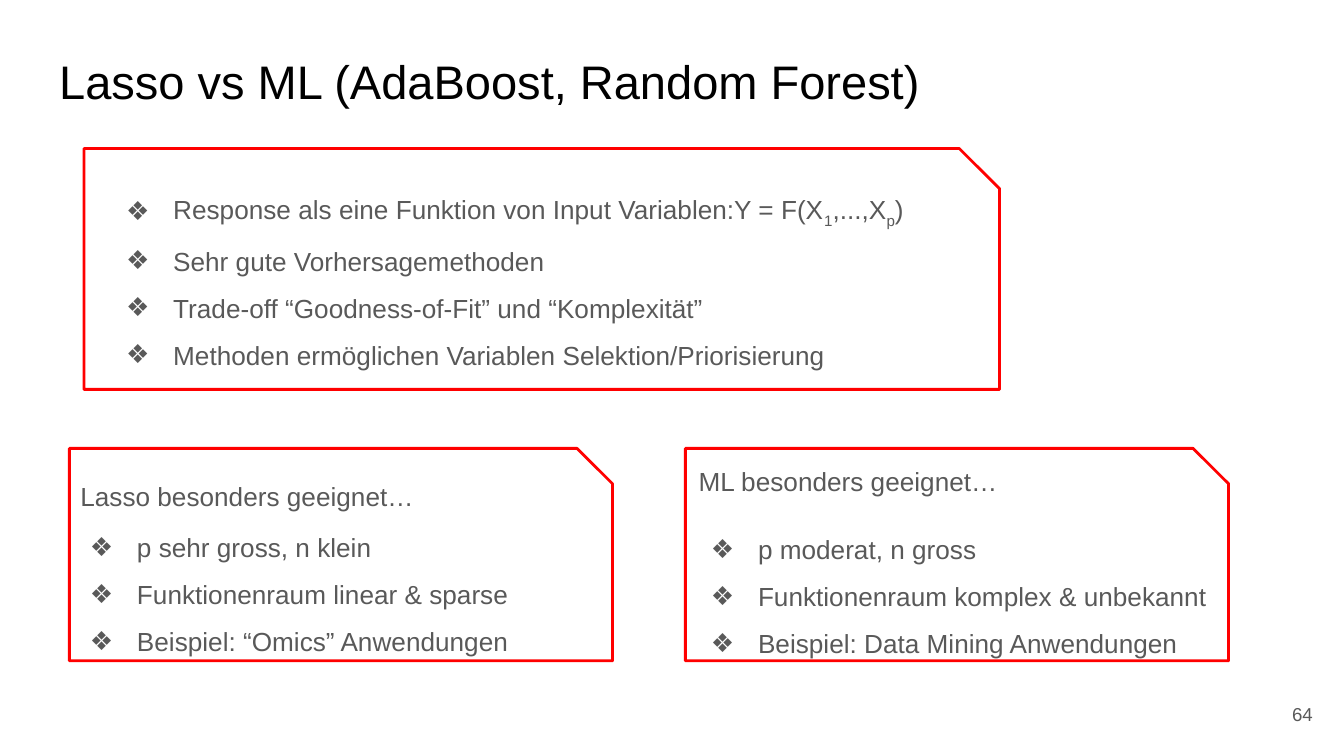
"""Build a slide that compares Lasso with ML methods."""
from lxml.etree import SubElement as Sub
from pptx import Presentation
from pptx.dml.color import RGBColor as Rgb
from pptx.enum.shapes import MSO_SHAPE as Shape
from pptx.enum.text import MSO_ANCHOR as Anchor, MSO_AUTO_SIZE as Fit, PP_ALIGN as Align
from pptx.oxml.ns import qn
from pptx.util import Pt

HUES = {"ink": "000000", "text": "595959", "edge": "FF0000"}


class Deck:
    font = "Arial"
    size = 14
    pad = 7.2
    hang = 25.2
    step = 36

    def __init__(self, wide, high):
        self.show = Presentation()
        self.show.slide_width, self.show.slide_height = Pt(wide), Pt(high)
        self.slide = self.show.slides.add_slide(self.show.slide_layouts[3])

    def place(self, item, box):
        item.left, item.top, item.width, item.height = map(Pt, box)

    def frame(self, item, anchor=Anchor.TOP):
        body = item.text_frame
        body.word_wrap = True
        body.auto_size = Fit.NONE
        body.vertical_anchor = anchor
        body.margin_left = body.margin_right = Pt(self.pad)
        body.margin_top = body.margin_bottom = Pt(self.pad)
        return body

    def style(self, para, size, hue, gap=1.0, align=Align.LEFT):
        para.alignment = align
        para.line_spacing = gap
        para.space_before = para.space_after = Pt(0)
        for run in para.runs:
            run.font.name = self.font
            run.font.size = Pt(size)
            run.font.color.rgb = Rgb.from_string(HUES[hue])

    def title(self, text, box):
        item = self.slide.shapes.title
        self.place(item, box)
        body = self.frame(item)
        body.text = text
        self.style(body.paragraphs[0], 25.2, "ink")

    def text_box(self, box):
        return self.slide.shapes.add_textbox(*map(Pt, box))

    def label(self, text, box, size=size, gap=1.0, align=Align.LEFT, anchor=Anchor.TOP):
        body = self.frame(self.text_box(box), anchor)
        body.text = text
        self.style(body.paragraphs[0], size, "text", gap, align)

    def bullet(self, para):
        props = para._p.get_or_add_pPr()
        props.set("marL", str(Pt(self.step)))
        props.set("indent", str(-Pt(self.hang)))
        tint = Sub(props, qn("a:buClr"))
        Sub(tint, qn("a:srgbClr")).set("val", HUES["text"])
        Sub(props, qn("a:buFont")).set("typeface", self.font)
        Sub(props, qn("a:buChar")).set("char", "❖")

    def bullets(self, item, lines, box):
        self.place(item, box)
        body = self.frame(item)
        body.text = "\n".join(lines)
        for para in body.paragraphs:
            self.bullet(para)
            self.lower(para)
            self.style(para, self.size, "text", 1.5)

    def lower(self, para):
        parts = para.text.split("_")
        para.text = parts[0]
        for spot, part in enumerate(parts[1:], 1):
            run = para.add_run()
            run.text = part
            if spot % 2:
                run._r.get_or_add_rPr().set("baseline", "-25000")

    def card(self, box):
        item = self.slide.shapes.add_shape(Shape.SNIP_1_RECTANGLE, *map(Pt, box))
        item.adjustments[0] = 0.167
        item.shadow.inherit = False
        item.fill.background()
        item.line.color.rgb = Rgb.from_string(HUES["edge"])
        item.line.width = Pt(1.5)


def main():
    deck = Deck(720, 405)
    left, right = list(deck.slide.placeholders)[1:3]
    deck.title("Lasso vs ML (AdaBoost, Random Forest)", (24.5, 21, 671, 45.4))
    for box in ((45, 79.6, 490.5, 129), (37.2, 240.2, 291, 113.8), (367.2, 240.2, 291, 113.8)):
        deck.card(box)
    deck.bullets(deck.text_box((49.7, 87.1, 486, 108)), (
        "Response als eine Funktion von Input Variablen:Y = F(X_1_,...,X_p_)",
        "Sehr gute Vorhersagemethoden",
        "Trade-off “Goodness-of-Fit” und “Komplexität”",
        "Methoden ermöglichen Variablen Selektion/Priorisierung",
    ), (49.7, 87.1, 486, 108))
    deck.bullets(left, (
        "p sehr gross, n klein",
        "Funktionenraum linear & sparse",
        "Beispiel: “Omics” Anwendungen",
    ), (30.2, 269.3, 309.6, 85))
    deck.bullets(right, (
        "p moderat, n gross",
        "Funktionenraum komplex & unbekannt",
        "Beispiel: Data Mining Anwendungen",
    ), (362.9, 270.2, 296.6, 75.6))
    deck.label("Lasso besonders geeignet…", (36, 242, 230.4, 31.7), gap=1.5)
    deck.label("ML besonders geeignet…", (367.2, 242, 252, 31.7))
    deck.label("64", (667.2, 367.2, 43.2, 31), 10, align=Align.RIGHT, anchor=Anchor.MIDDLE)
    deck.show.save("out.pptx")


if __name__ == "__main__":
    main()
